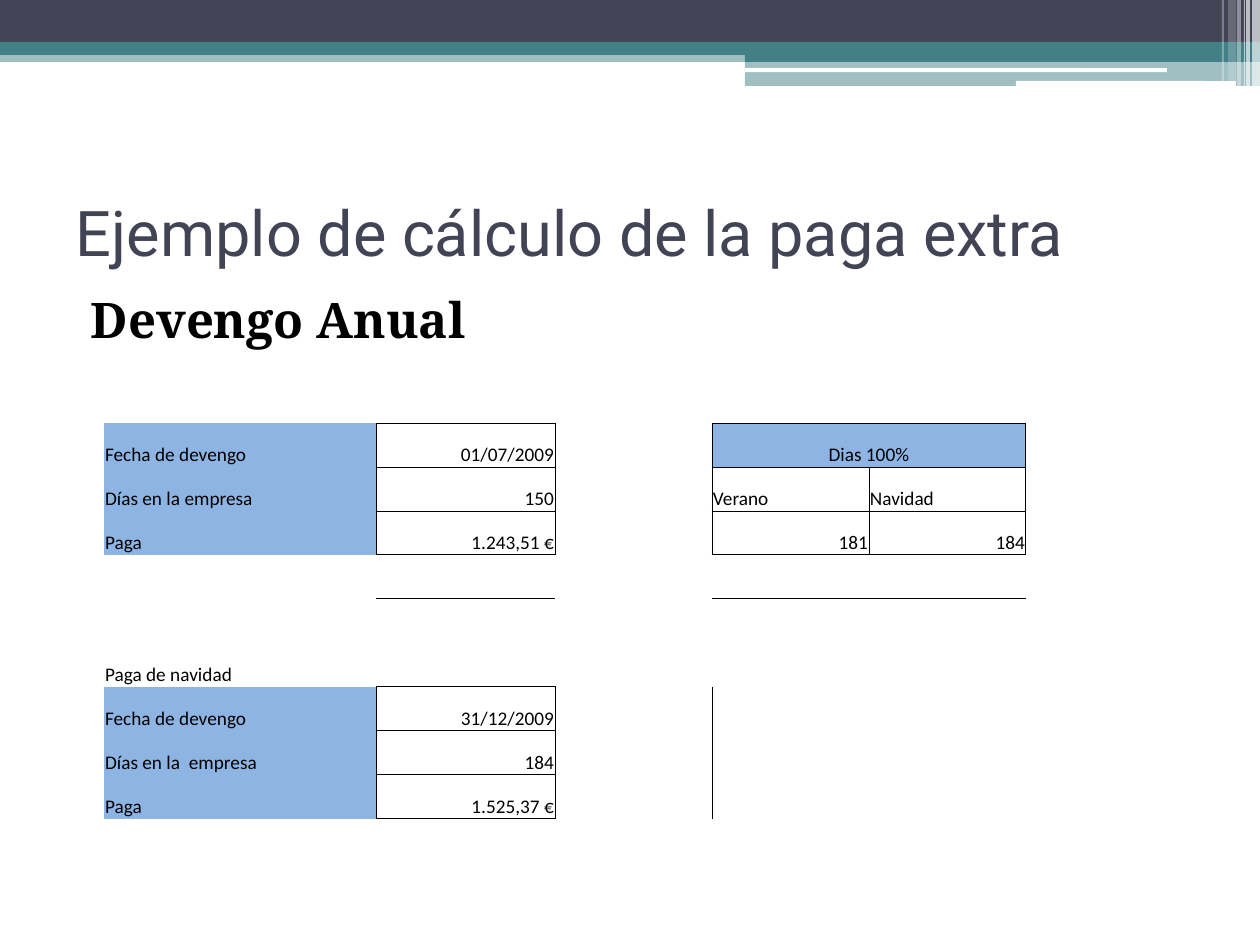
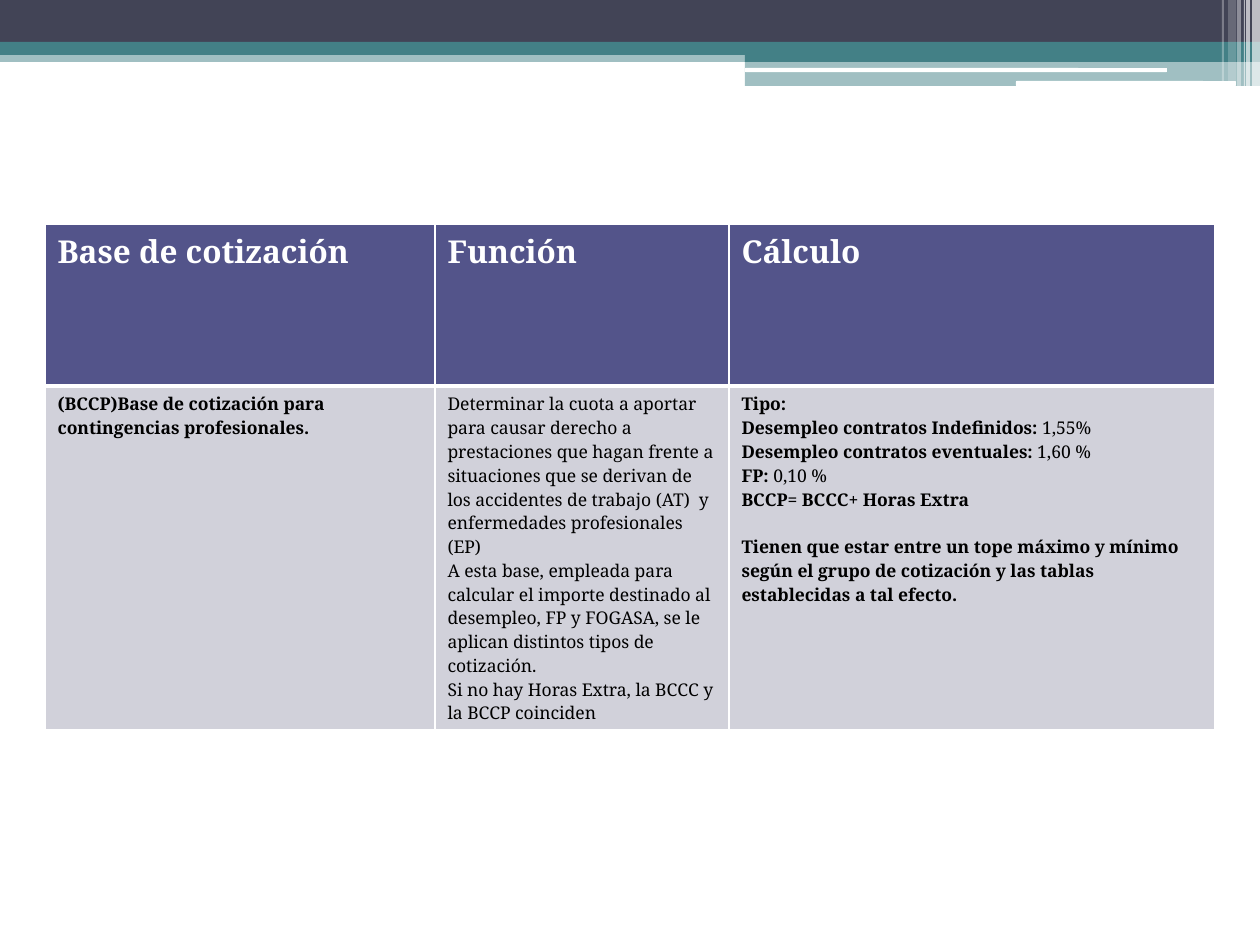
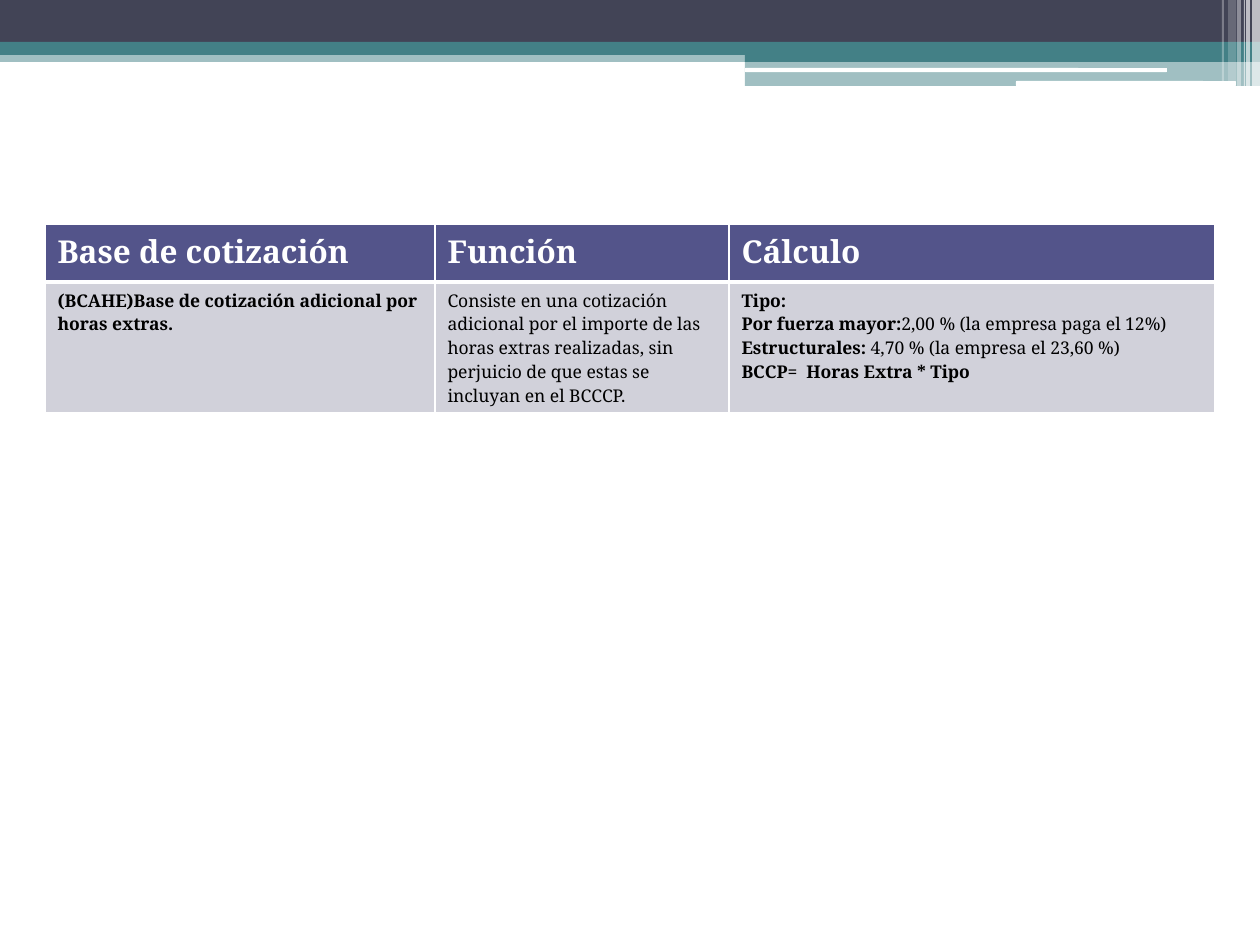
"""Build three slides on extra pay and contribution bases."""
from dataclasses import dataclass
from typing import Any, NamedTuple

import pptx
import pptx.dml.color
import pptx.enum.shapes
import pptx.enum.text
import pptx.oxml
import pptx.oxml.ns
import pptx.util

EMU_PER_PX = 914400 / 126
NO_STYLE = "{2D5ABB26-0587-4C30-8999-92F81FD0307C}"
SHAPE = pptx.enum.shapes.MSO_SHAPE
ALIGN = pptx.enum.text.PP_ALIGN
ANCHOR = pptx.enum.text.MSO_ANCHOR


@dataclass(frozen=True)
class Theme:
    """Colours, fonts and type sizes of the deck."""
    ink: str = "424456"
    teal: str = "438086"
    white: str = "FFFFFF"
    black: str = "000000"
    blue: str = "8DB4E3"
    header: str = "53548A"
    body: str = "D1D1DA"
    title_font: str = "Roboto"
    serif: str = "Noto Serif"
    sheet_font: str = "Calibri"
    title_pt: float = 36
    subtitle_pt: float = 28
    header_pt: float = 18
    sheet_pt: float = 11
    body_pt: float = 10


THEME = Theme()


class Box(NamedTuple):
    """A rectangle in pixels."""
    left: int
    top: int
    width: int
    height: int


class Band(NamedTuple):
    """A filled strip of the top decoration; alpha is in percent."""
    box: Box
    color: str
    alpha: int = 100
    kind: Any = SHAPE.RECTANGLE


class Run(NamedTuple):
    """A piece of text of one weight."""
    text: str
    bold: bool = False


class Para(NamedTuple):
    """A paragraph with the space before it in points."""
    runs: tuple[Run, ...]
    before: float = 0


class SheetCell(NamedTuple):
    """A cell of the pay sheet; boxed cells have black borders."""
    text: str = ""
    align: Any = ALIGN.LEFT
    filled: bool = False
    boxed: bool = False
    span: int = 1


BANDS = [
    Band(Box(0, 50, 1260, 12), THEME.teal, 50),
    Band(Box(0, 0, 1260, 42), THEME.ink),
    Band(Box(0, 42, 1260, 13), THEME.teal),
    Band(Box(745, 49, 515, 13), THEME.teal),
    Band(Box(745, 61, 515, 25), THEME.teal, 50),
    Band(Box(745, 68, 422, 4), THEME.white, 100, SHAPE.ROUNDED_RECTANGLE),
    Band(Box(1016, 81, 220, 5), THEME.white, 100, SHAPE.ROUNDED_RECTANGLE),
    Band(Box(1252, 0, 8, 86), THEME.white, 65),
    Band(Box(1246, 0, 4, 86), THEME.white, 65),
    Band(Box(1244, 0, 1, 86), THEME.white, 60),
    Band(Box(1237, 0, 4, 86), THEME.white, 40),
    Band(Box(1228, 0, 8, 81), THEME.white, 20),
    Band(Box(1222, 0, 2, 81), THEME.white, 30),
]


def px(value: float) -> pptx.util.Emu:
    """Turn pixels into EMU."""
    return pptx.util.Emu(round(value * EMU_PER_PX))


def rgb(color: str) -> pptx.dml.color.RGBColor:
    """Turn a hex string into a colour."""
    return pptx.dml.color.RGBColor.from_string(color)


def apply(obj: Any, **values: Any) -> None:
    """Set every given attribute on an object."""
    for name, value in values.items():
        setattr(obj, name, value)


def add_run(p: Any, text: str, font: str, size: float, color: str, bold: bool = False) -> None:
    """Add a formatted run to a paragraph."""
    r = p.add_run()
    r.text = text
    apply(r.font, name=font, size=pptx.util.Pt(size), bold=bold)
    r.font.color.rgb = rgb(color)


def add_text(slide: Any, box: Box, text: str, anchor: Any, inset: int, **style: Any) -> None:
    """Add a wrapped one-paragraph text box."""
    tf = slide.shapes.add_textbox(*map(px, box)).text_frame
    apply(tf, word_wrap=True, vertical_anchor=anchor, margin_left=px(inset))
    add_run(tf.paragraphs[0], text, **style)


def add_band(slide: Any, band: Band) -> None:
    """Draw one strip, see-through where its alpha asks for it."""
    sp = slide.shapes.add_shape(band.kind, *map(px, band.box))
    sp.shadow.inherit = False
    sp.line.fill.background()
    sp.fill.solid()
    sp.fill.fore_color.rgb = rgb(band.color)
    if band.alpha < 100:
        clr = next(sp.fill._xPr.iter(pptx.oxml.ns.qn("a:srgbClr")))
        alpha = pptx.oxml.parse_xml(f'<a:alpha {pptx.oxml.ns.nsdecls("a")} val="{band.alpha * 1000}"/>')
        clr.append(alpha)


def new_slide(prs: Any) -> Any:
    """Add a blank slide with the top decoration."""
    slide = prs.slides.add_slide(prs.slide_layouts[6])
    for band in BANDS:
        add_band(slide, band)
    return slide


def new_table(slide: Any, left: int, top: int, widths: list[int], heights: list[int]) -> Any:
    """Add a table without any built-in style."""
    box = Box(left, top, sum(widths), sum(heights))
    table = slide.shapes.add_table(len(heights), len(widths), *map(px, box)).table
    apply(table, first_row=False, horz_banding=False)
    next(table._tbl.iter(pptx.oxml.ns.qn("a:tableStyleId"))).text = NO_STYLE
    for col, width in zip(table.columns, widths):
        col.width = px(width)
    for row, height in zip(table.rows, heights):
        row.height = px(height)
    return table


def paint_cell(cell: Any, borders: dict[str, float], line: str, fill: str | None) -> None:
    """Give a cell its borders, keyed L R T B in points, and then its fill."""
    tc_pr = cell._tc.get_or_add_tcPr()
    for side in "LRTB":
        if side in borders:
            tc_pr.append(pptx.oxml.parse_xml(
                f'<a:ln{side} {pptx.oxml.ns.nsdecls("a")} w="{pptx.util.Pt(borders[side])}">'
                f'<a:solidFill><a:srgbClr val="{line}"/></a:solidFill></a:ln{side}>'))
    if fill:
        cell.fill.solid()
        cell.fill.fore_color.rgb = rgb(fill)
    else:
        cell.fill.background()


def add_sheet(slide: Any, left: int, top: int, widths: list[int], row_height: int,
              rows: list[list[SheetCell]]) -> None:
    """Draw the pay sheet; neighbours share the borders of boxed cells."""
    table = new_table(slide, left, top, widths, [row_height] * len(rows))
    boxed = {(i, j) for i, row in enumerate(rows) for j, item in enumerate(row) if item.boxed}
    steps = {"L": (0, -1), "R": (0, 1), "T": (-1, 0), "B": (1, 0)}
    for i, row in enumerate(rows):
        for j, item in enumerate(row):
            cell = table.cell(i, j)
            borders = {side: 0.5 for side, (di, dj) in steps.items()
                       if {(i, j), (i + di, j + dj)} & boxed}
            paint_cell(cell, borders, THEME.black, THEME.blue if item.filled else None)
            apply(cell, margin_left=px(1), margin_right=px(1), margin_top=px(1),
                  margin_bottom=0, vertical_anchor=ANCHOR.BOTTOM)
            if item.span > 1:
                cell.merge(table.cell(i, j + item.span - 1))
            if item.text:
                p = cell.text_frame.paragraphs[0]
                p.alignment = item.align
                add_run(p, item.text, THEME.sheet_font, THEME.sheet_pt, THEME.black)


def add_base_table(slide: Any, heights: list[int], body: list[list[Para]]) -> None:
    """Draw the contribution base table: a header row and one body row."""
    table = new_table(slide, 45, 224, [390, 294, 486], heights)
    for j, (heading, paras) in enumerate(zip(("Base de cotización", "Función", "Cálculo"), body)):
        head, cell = table.cell(0, j), table.cell(1, j)
        paint_cell(head, {"L": 1, "R": 1, "T": 1, "B": 3}, THEME.white, THEME.header)
        add_run(head.text_frame.paragraphs[0], heading, THEME.serif, THEME.header_pt, THEME.white, True)
        paint_cell(cell, {"L": 1, "R": 1, "T": 3, "B": 1}, THEME.white, THEME.body)
        tf = cell.text_frame
        for k, para in enumerate(paras):
            p = tf.add_paragraph() if k else tf.paragraphs[0]
            p.space_before = pptx.util.Pt(para.before)
            for run in para.runs:
                add_run(p, run.text, THEME.serif, THEME.body_pt, THEME.black, run.bold)


def strong(text: str, rest: str = "", before: float = 0) -> Para:
    """Make a paragraph that starts bold and may end in regular type."""
    return Para((Run(text, True),) + ((Run(rest),) if rest else ()), before)


def plain(text: str) -> Para:
    """Make a regular paragraph."""
    return Para((Run(text),))


def label(text: str) -> SheetCell:
    """Make a blue label cell."""
    return SheetCell(text, filled=True)


def value(text: str, align: Any = ALIGN.RIGHT) -> SheetCell:
    """Make a boxed value cell."""
    return SheetCell(text, align, boxed=True)


def pay_slide(prs: Any) -> None:
    """Build the worked example of extra pay."""
    slide = new_slide(prs)
    add_text(slide, Box(63, 158, 1134, 147), "Ejemplo de cálculo de la paga extra", ANCHOR.MIDDLE, 13,
             font=THEME.title_font, size=THEME.title_pt, color=THEME.ink)
    add_text(slide, Box(63, 283, 1134, 622), "Devengo Anual", ANCHOR.TOP, 28,
             font=THEME.serif, size=THEME.subtitle_pt, color=THEME.black, bold=True)
    gap = SheetCell()
    days = SheetCell("Dias 100%", ALIGN.CENTER, filled=True, boxed=True, span=2)
    rows = [
        [label("Fecha de devengo"), value("01/07/2009"), gap, days, SheetCell(filled=True, boxed=True)],
        [label("Días en la empresa"), value("150"), gap,
         value("Verano", ALIGN.LEFT), value("Navidad", ALIGN.LEFT)],
        [label("Paga"), value("1.243,51 €"), gap, value("181"), value("184")],
        [gap] * 5,
        [gap] * 5,
        [SheetCell("Paga de navidad")] + [gap] * 4,
        [label("Fecha de devengo"), value("31/12/2009")] + [gap] * 3,
        [label("Días en la  empresa"), value("184")] + [gap] * 3,
        [label("Paga"), value("1.525,37 €")] + [gap] * 3,
    ]
    add_sheet(slide, 104, 423, [272, 179, 157, 157, 157], 44, rows)


def professional_slide(prs: Any) -> None:
    """Build the slide on professional contingencies."""
    add_base_table(new_slide(prs), [162, 344], [
        [strong("(BCCP)Base de cotización para contingencias profesionales.")],
        [plain("Determinar la cuota a aportar para causar derecho a prestaciones que hagan frente a "
               "situaciones que se derivan de los accidentes de trabajo (AT)  y enfermedades "
               "profesionales (EP)"),
         plain("A esta base, empleada para calcular el importe destinado al desempleo, FP y FOGASA, "
               "se le aplican distintos tipos de cotización."),
         plain("Si no hay Horas Extra, la BCCC y la BCCP coinciden")],
        [strong("Tipo:"),
         strong("Desempleo contratos Indefinidos: ", "1,55%"),
         strong("Desempleo contratos eventuales: ", "1,60 %"),
         strong("FP:", " 0,10 %"),
         strong("BCCP= BCCC+ Horas Extra"),
         strong("Tienen que estar entre un tope máximo y mínimo según el grupo de cotización y las "
                "tablas establecidas a tal efecto.", before=13.6)],
    ])


def overtime_slide(prs: Any) -> None:
    """Build the slide on overtime contributions."""
    add_base_table(new_slide(prs), [58, 131], [
        [strong("(BCAHE)Base de cotización adicional por horas extras.")],
        [plain("Consiste en una cotización adicional por el importe de las horas extras realizadas, "
               "sin perjuicio de que estas se incluyan en el BCCCP.")],
        [strong("Tipo:"),
         strong("Por fuerza mayor:", "2,00 % (la empresa paga el 12%)"),
         strong("Estructurales: ", "4,70 % (la empresa el 23,60 %)"),
         strong("BCCP=  Horas Extra * Tipo")],
    ])


def main() -> None:
    """Build and save the deck."""
    prs = pptx.Presentation()
    apply(prs, slide_width=px(1260), slide_height=px(945))
    for build in (pay_slide, professional_slide, overtime_slide):
        build(prs)
    prs.save("out.pptx")


main()
